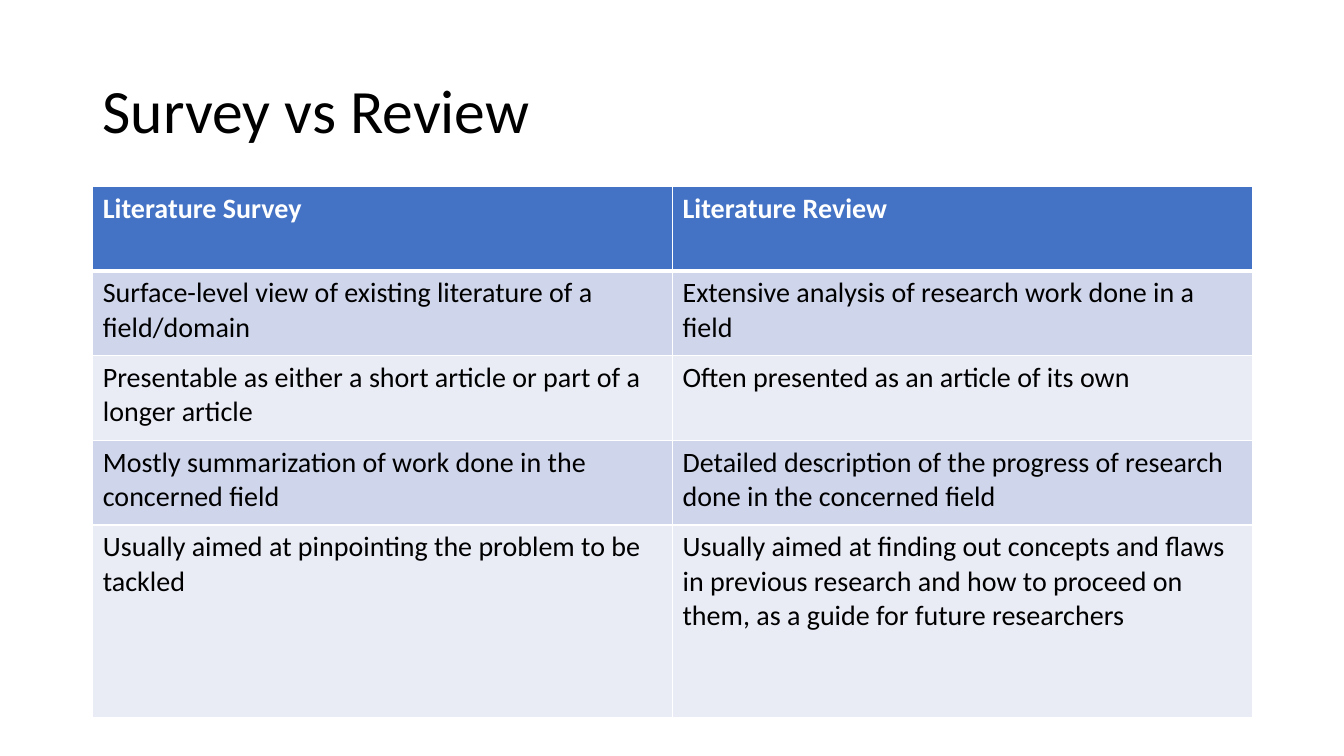
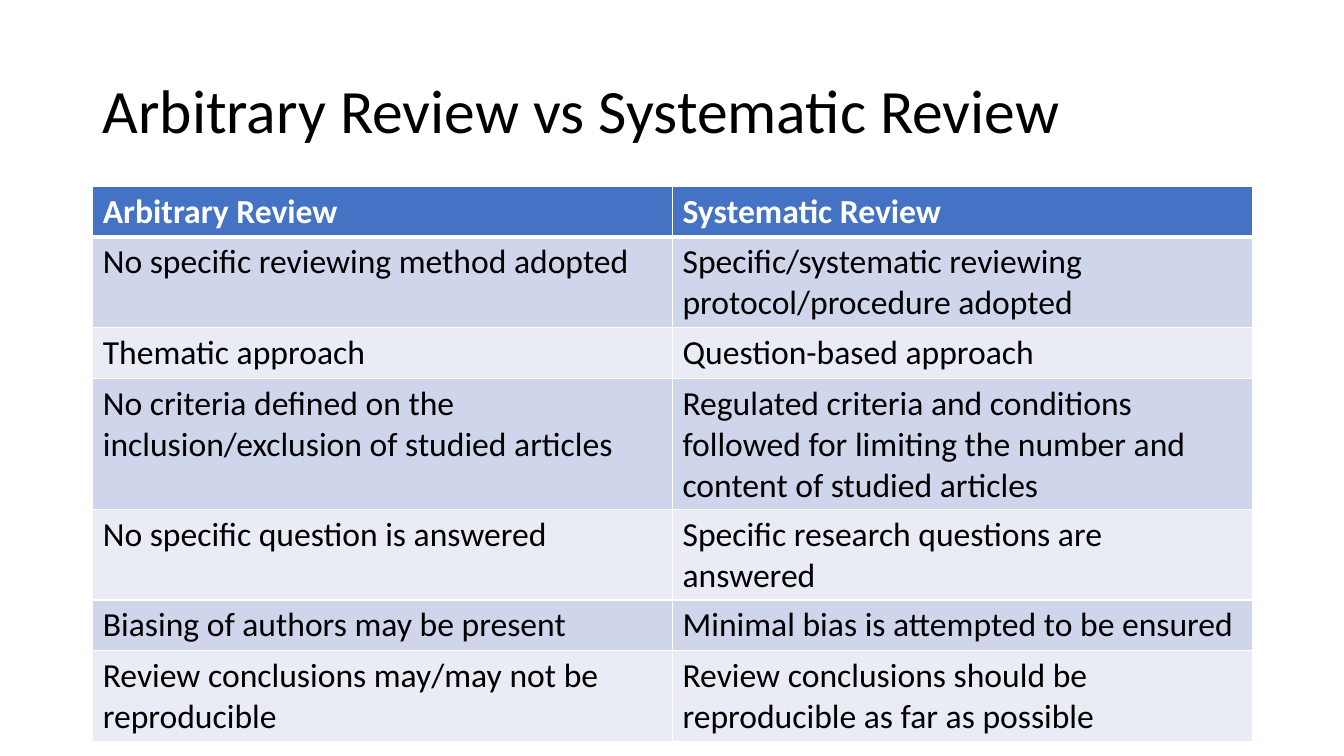
import lxml.etree
import pptx
import pptx.dml.color
import pptx.enum.text
import pptx.oxml.ns
import pptx.util

SLIDE_WIDTH = pptx.util.Inches(13.33)
SLIDE_HEIGHT = pptx.util.Inches(7.5)
MARGIN = pptx.util.Inches(0.92)
CONTENT_WIDTH = pptx.util.Inches(11.5)
TITLE_TOP = pptx.util.Inches(0.4)
TITLE_HEIGHT = pptx.util.Inches(1.45)
TABLE_TOP = TITLE_TOP + TITLE_HEIGHT

COLORS = {
    "text": "000000",
    "header_text": "FFFFFF",
    "header": "4472C4",
    "odd_row": "CFD5EA",
    "even_row": "E9EBF5",
    "border": "FFFFFF",
}
FONT = "Calibri"
TITLE_FORMAT = {"name": FONT, "size": pptx.util.Pt(44)}
THIN, THICK = 1, 3

SURVEY_ROWS = [
    ("Literature Survey", "Literature Review"),
    ("Surface-level view of existing literature of a field/domain",
     "Extensive analysis of research work done in a field"),
    ("Presentable as either a short article or part of a longer article",
     "Often presented as an article of its own"),
    ("Mostly summarization of work done in the concerned field",
     "Detailed description of the progress of research done in the concerned field"),
    ("Usually aimed at pinpointing the problem to be tackled",
     "Usually aimed at finding out concepts and flaws in previous research and "
     "how to proceed on them, as a guide for future researchers"),
]
REVIEW_ROWS = [
    ("Arbitrary Review", "Systematic Review"),
    ("No specific reviewing method adopted",
     "Specific/systematic reviewing protocol/procedure adopted"),
    ("Thematic approach", "Question-based approach"),
    ("No criteria defined on the inclusion/exclusion of studied articles",
     "Regulated criteria and conditions followed for limiting the number and "
     "content of studied articles"),
    ("No specific question is answered", "Specific research questions are answered"),
    ("Biasing of authors may be present", "Minimal bias is attempted to be ensured"),
    ("Review conclusions may/may not be reproducible",
     "Review conclusions should be reproducible as far as possible"),
]


def rgb(color):
    return pptx.dml.color.RGBColor.from_string(COLORS[color])


def write(para, text, color, formats):
    span = para.add_run()
    span.text = text
    span.font.color.rgb = rgb(color)
    for attribute, value in formats.items():
        setattr(span.font, attribute, value)


def add_title(page, text):
    box = page.shapes.add_textbox(MARGIN, TITLE_TOP, CONTENT_WIDTH, TITLE_HEIGHT)
    frame = box.text_frame
    frame.word_wrap = True
    frame.vertical_anchor = pptx.enum.text.MSO_ANCHOR.MIDDLE
    para = frame.paragraphs[0]
    para.line_spacing = 0.9
    write(para, text, "text", TITLE_FORMAT)


def set_borders(cell, row):
    """Draw thin borders, with a thick line between header and body."""
    widths = {
        "a:lnL": THIN,
        "a:lnR": THIN,
        "a:lnT": THICK if row == 1 else THIN,
        "a:lnB": THICK if row == 0 else THIN,
    }
    qualified = pptx.oxml.ns.qn
    properties = cell._tc.get_or_add_tcPr()
    for tag, points in widths.items():
        line = lxml.etree.SubElement(
            properties, qualified(tag), w=str(pptx.util.Pt(points)))
        fill = lxml.etree.SubElement(line, qualified("a:solidFill"))
        lxml.etree.SubElement(fill, qualified("a:srgbClr"), val=COLORS["border"])


def row_fill(row):
    if row == 0:
        return "header"
    return "odd_row" if row % 2 else "even_row"


def add_comparison(page, rows, heights, size):
    """Add a table with a header row and equal columns; heights are in inches."""
    columns = len(rows[0])
    table = page.shapes.add_table(
        len(rows), columns, MARGIN, TABLE_TOP, CONTENT_WIDTH,
        pptx.util.Inches(sum(heights))).table
    for column in table.columns:
        column.width = CONTENT_WIDTH // columns
    for row, (texts, height) in enumerate(zip(rows, heights)):
        table.rows[row].height = pptx.util.Inches(height)
        header = row == 0
        formats = {"name": FONT, "size": pptx.util.Pt(size), "bold": header}
        for column, text in enumerate(texts):
            cell = table.cell(row, column)
            set_borders(cell, row)
            cell.fill.solid()
            cell.fill.fore_color.rgb = rgb(row_fill(row))
            write(cell.text_frame.paragraphs[0], text,
                  "header_text" if header else "text", formats)


def main():
    deck = pptx.Presentation()
    deck.slide_width, deck.slide_height = SLIDE_WIDTH, SLIDE_HEIGHT
    blank = deck.slide_layouts[6]
    slides = [
        ("Survey vs Review", SURVEY_ROWS, [0.84] * 4 + [1.91], 20),
        ("Arbitrary Review vs Systematic Review", REVIEW_ROWS,
         [0.41] * len(REVIEW_ROWS), 24),
    ]
    for title, rows, heights, size in slides:
        page = deck.slides.add_slide(blank)
        add_title(page, title)
        add_comparison(page, rows, heights, size)
    deck.save("out.pptx")


if __name__ == "__main__":
    main()
